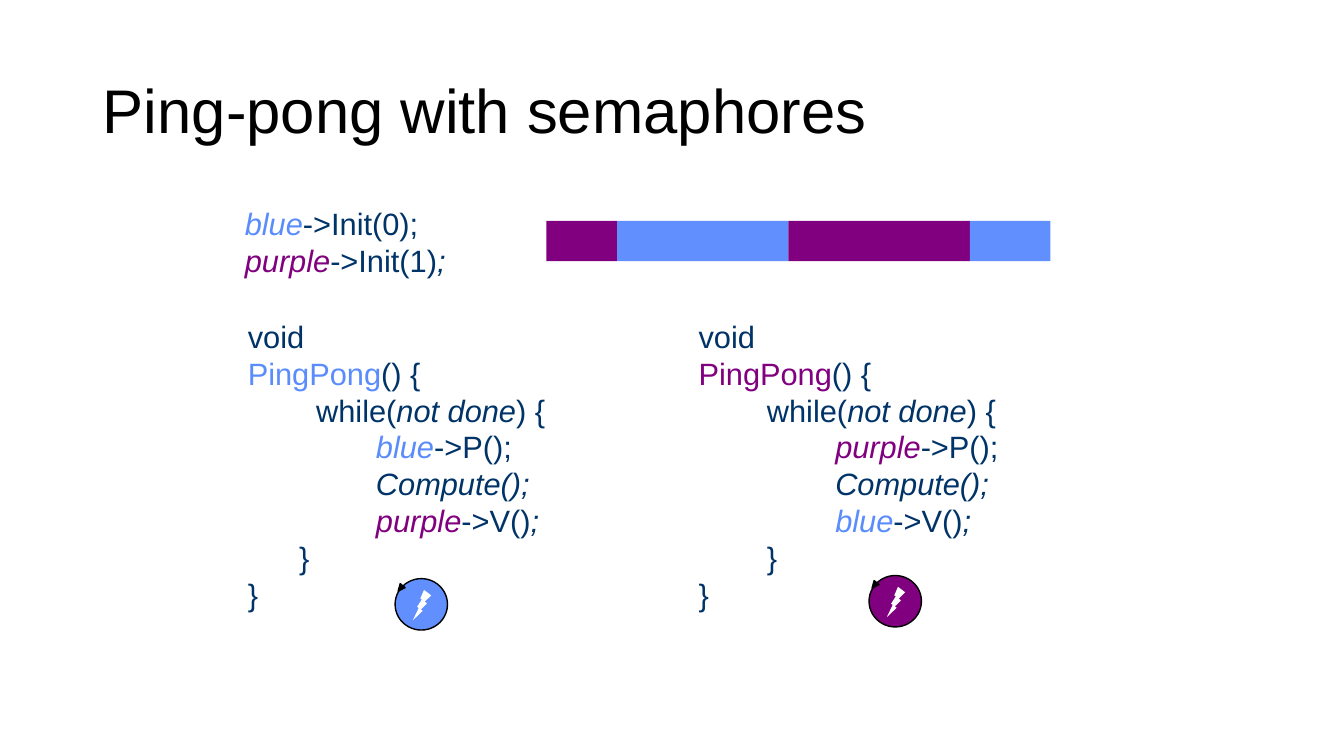
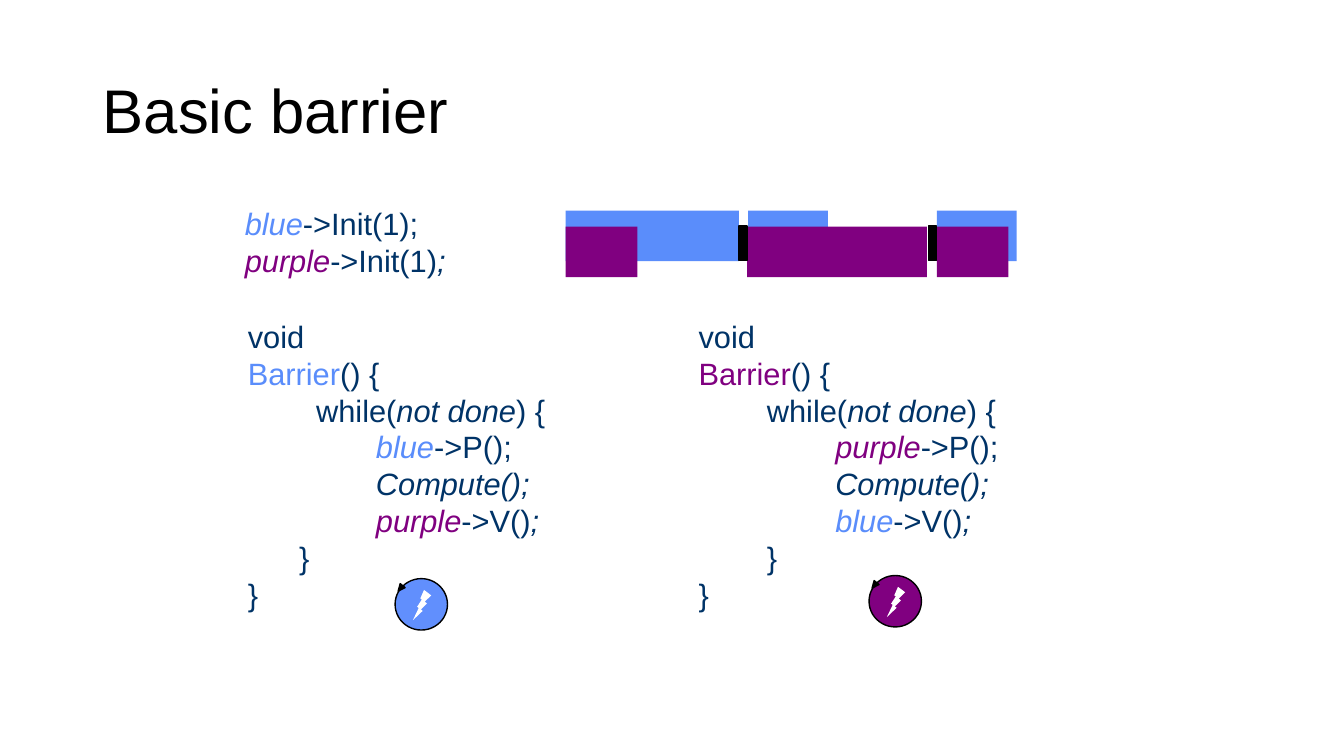
from dataclasses import dataclass

from pptx import Presentation
from pptx import util as u
from pptx.dml.color import RGBColor
from pptx.enum import shapes, text
from pptx.oxml.ns import qn


@dataclass(frozen=True)
class Theme:
    font: str = "Arial"
    title_size: int = 44
    code_size: int = 22
    line_width: int = 1
    black: str = "000000"
    white: str = "FFFFFF"
    code: str = "003367"
    blue: str = "5A8DFB"
    light_blue: str = "618FFD"
    purple: str = "800080"


@dataclass(frozen=True)
class Box:
    left: float
    top: float
    width: float
    height: float

    def inner(self, left, top, width, height):
        """Box inside this one, given in percent of its size."""
        return Box(self.left + self.width * left / 100,
                   self.top + self.height * top / 100,
                   self.width * width / 100,
                   self.height * height / 100)

    def frame(self):
        return [u.Inches(length) for length in (self.left, self.top, self.width, self.height)]


@dataclass(frozen=True)
class Thread:
    name: str
    other: str
    fill: str
    body_indent: int
    brace_indent: int
    pane: Box
    icon: tuple


THEME = Theme()
PAGE = Box(0, 0, 13.33, 7.5)
TITLE = PAGE.inner(6.9, 5.33, 86.27, 19.33)
SETUP = PAGE.inner(17.48, 26.4, 17.18, 11.2)
TURNS = PAGE.inner(40.66, 29.2, 37.5, 5.33)
LANES = PAGE.inner(42.09, 27.87, 33.76, 8.8)
ICON_SIZE = (13, 16.67)  # percent of a thread pane
THREADS = [
    Thread("blue", "purple", THEME.light_blue, 15, 6,
           PAGE.inner(17.7, 41.33, 30, 40.8), (39, 86.3)),
    Thread("purple", "blue", THEME.purple, 16, 8,
           PAGE.inner(51.24, 41.33, 30, 40.8), (44.75, 85.3)),
]


def format_font(font, size, colour, italic=False):
    values = {"name": THEME.font, "size": u.Pt(size), "italic": italic}
    for name, value in values.items():
        setattr(font, name, value)
    font.color.rgb = RGBColor.from_string(colour)


def add_shape(parent, kind, box, fill, line=None):
    shape = parent.shapes.add_shape(kind, *box.frame())
    shape.shadow.inherit = False
    shape.fill.solid()
    shape.fill.fore_color.rgb = RGBColor.from_string(fill)
    if line:
        shape.line.color.rgb = RGBColor.from_string(line)
        shape.line.width = u.Pt(THEME.line_width)
    else:
        shape.line.fill.background()
    return shape


def add_title(slide, wording):
    title = slide.shapes.title
    title.text = wording
    paragraph = title.text_frame.paragraphs[0]
    paragraph.alignment = text.PP_ALIGN.LEFT
    paragraph.line_spacing = 0.9
    format_font(paragraph.runs[0].font, THEME.title_size, THEME.black)


def code(wording, italic=False):
    return wording, THEME.code, italic


def variable(name):
    return name, getattr(THEME, name), True


def add_code(slide, box, lines, anchor=text.MSO_ANCHOR.TOP):
    """Places code; each line is a list of (wording, colour, italic)."""
    frame = slide.shapes.add_textbox(*box.frame()).text_frame
    values = {"word_wrap": True, "vertical_anchor": anchor,
              "auto_size": text.MSO_AUTO_SIZE.SHAPE_TO_FIT_TEXT}
    for name, value in values.items():
        setattr(frame, name, value)
    for index, line in enumerate(lines):
        paragraph = frame.add_paragraph() if index else frame.paragraphs[0]
        for wording, colour, italic in line:
            run = paragraph.add_run()
            run.text = wording
            format_font(run.font, THEME.code_size, colour, italic)


def add_setup(slide, blue_start, purple_start):
    add_code(slide, SETUP, [
        [variable("blue"), code(f"->Init({blue_start});")],
        [variable("purple"), code(f"->Init({purple_start})"), code(";", True)],
    ], text.MSO_ANCHOR.MIDDLE)


def add_thread_icon(slide, box, fill):
    group = slide.shapes.add_group_shape()
    kinds = shapes.MSO_SHAPE
    add_shape(group, kinds.OVAL, box, fill, THEME.black)
    bolt = add_shape(group, kinds.LIGHTNING_BOLT, box.inner(34, 22, 35, 59), THEME.white)
    bolt.element.spPr.find(qn("a:xfrm")).set("flipH", "1")
    arrowhead = add_shape(group, kinds.ISOSCELES_TRIANGLE, box.inner(4, 12, 12, 14),
                          THEME.black, THEME.black)
    arrowhead.rotation = 219


def add_thread(slide, thread, function):
    indent = code(" " * thread.body_indent)
    add_code(slide, thread.pane, [
        [code("void")],
        [(function, getattr(THEME, thread.name), False), code("() {")],
        [code("        while("), code("not done", True), code(") {")],
        [indent, variable(thread.name), code("->P();")],
        [indent, code("Compute();", True)],
        [indent, variable(thread.other), code("->V()"), code(";", True)],
        [code(" " * thread.brace_indent + "}")],
        [code("}")],
    ])
    add_thread_icon(slide, thread.pane.inner(*thread.icon, *ICON_SIZE), thread.fill)


def add_turns(slide, box):
    """Bars end to end: one thread runs at a time."""
    left = 0
    for width, fill in [(14, THEME.purple), (34, THEME.light_blue),
                        (36, THEME.purple), (16, THEME.light_blue)]:
        add_shape(slide, shapes.MSO_SHAPE.RECTANGLE, box.inner(left, 0, width, 100), fill)
        left += width


def add_lanes(slide, box):
    """Overlapping lanes: both threads run, then wait at a barrier."""
    lanes = {  # top, height, fill, line
        "blue": (0, 76, THEME.blue, None),
        "purple": (24, 76, THEME.purple, None),
        "barrier": (23, 52, THEME.black, THEME.black),
    }
    bars = [  # lane, left, width
        ("blue", 0, 38.2), ("blue", 40.2, 17.6), ("purple", 40, 39.6),
        ("blue", 81.8, 17.6), ("purple", 0, 15.8), ("purple", 81.8, 15.8),
        ("barrier", 38.2, 1.8), ("barrier", 80, 1.8),
    ]
    for lane, left, width in bars:
        top, height, fill, line = lanes[lane]
        add_shape(slide, shapes.MSO_SHAPE.RECTANGLE,
                  box.inner(left, top, width, height), fill, line)


def add_semaphore_slide(presentation, layout, title, function, starts, add_timeline, box):
    slide = presentation.slides.add_slide(layout)
    add_title(slide, title)
    add_setup(slide, *starts)
    for thread in THREADS:
        add_thread(slide, thread, function)
    add_timeline(slide, box)


def main():
    presentation = Presentation()
    presentation.slide_width = u.Inches(PAGE.width)
    presentation.slide_height = u.Inches(PAGE.height)
    layout = presentation.slide_layouts.get_by_name("Title Only")
    title = layout.placeholders[0]
    for name, value in zip(("left", "top", "width", "height"), TITLE.frame()):
        setattr(title, name, value)
    add_semaphore_slide(presentation, layout, "Ping-pong with semaphores", "PingPong",
                        (0, 1), add_turns, TURNS)
    add_semaphore_slide(presentation, layout, "Basic barrier", "Barrier",
                        (1, 1), add_lanes, LANES)
    presentation.save("out.pptx")


if __name__ == "__main__":
    main()
